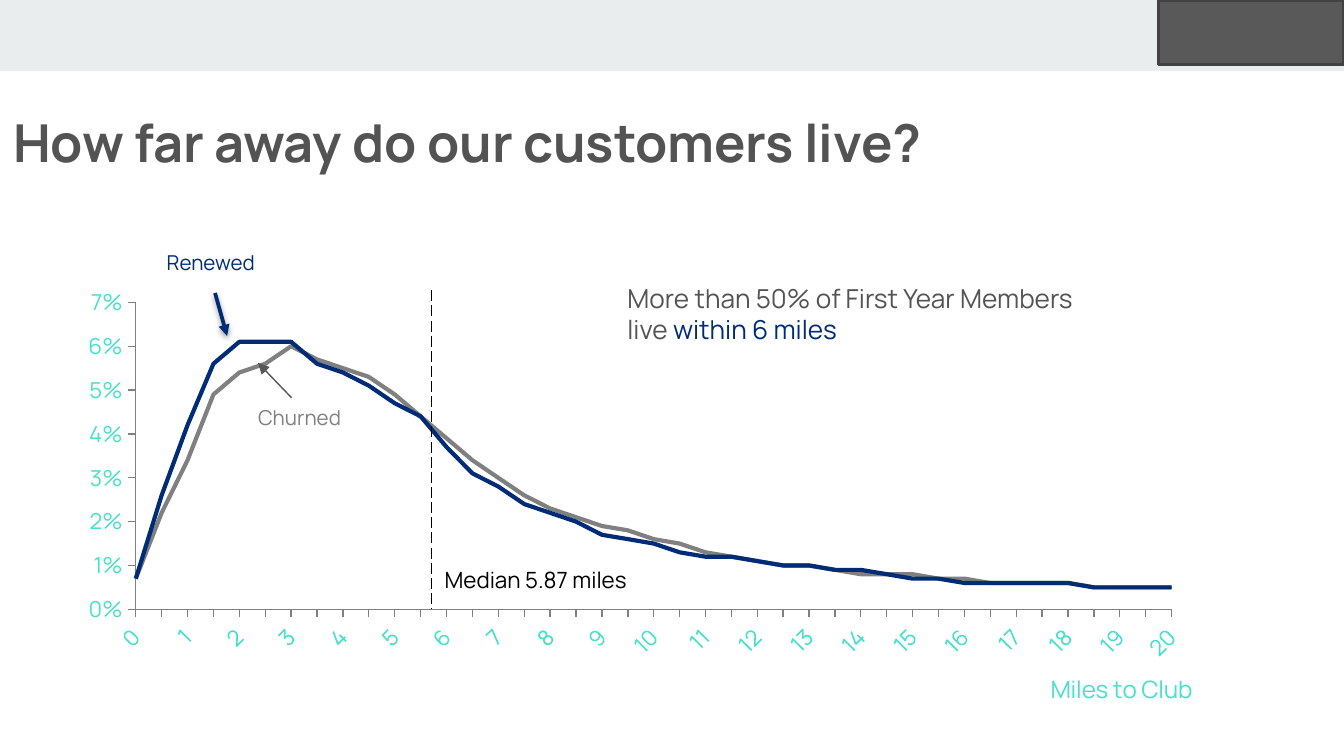
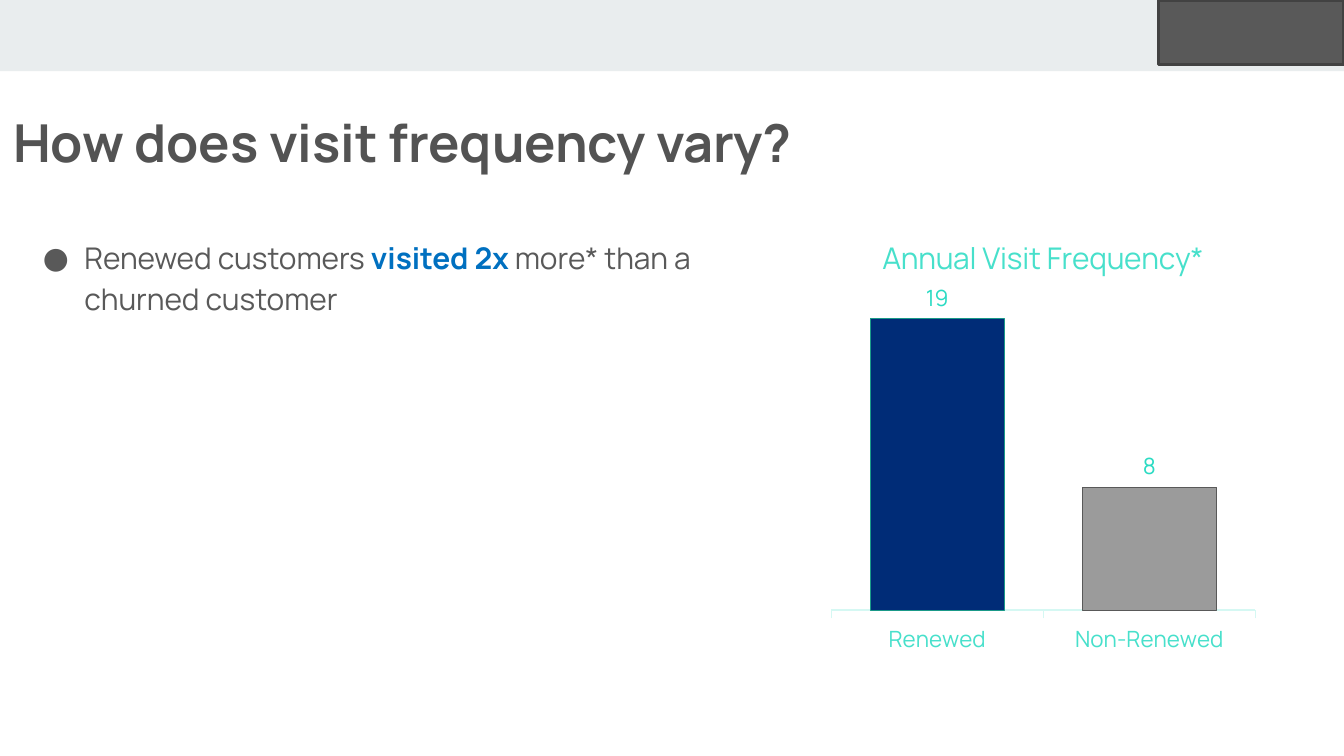
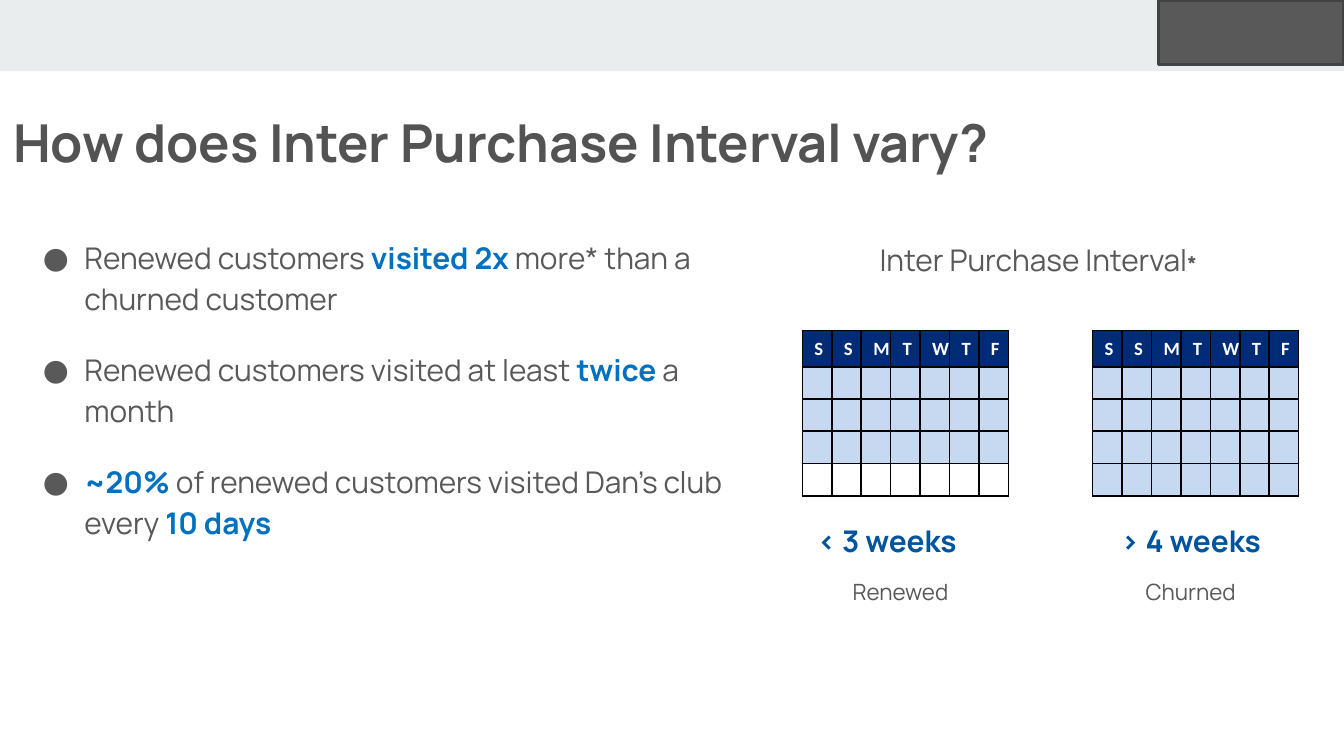
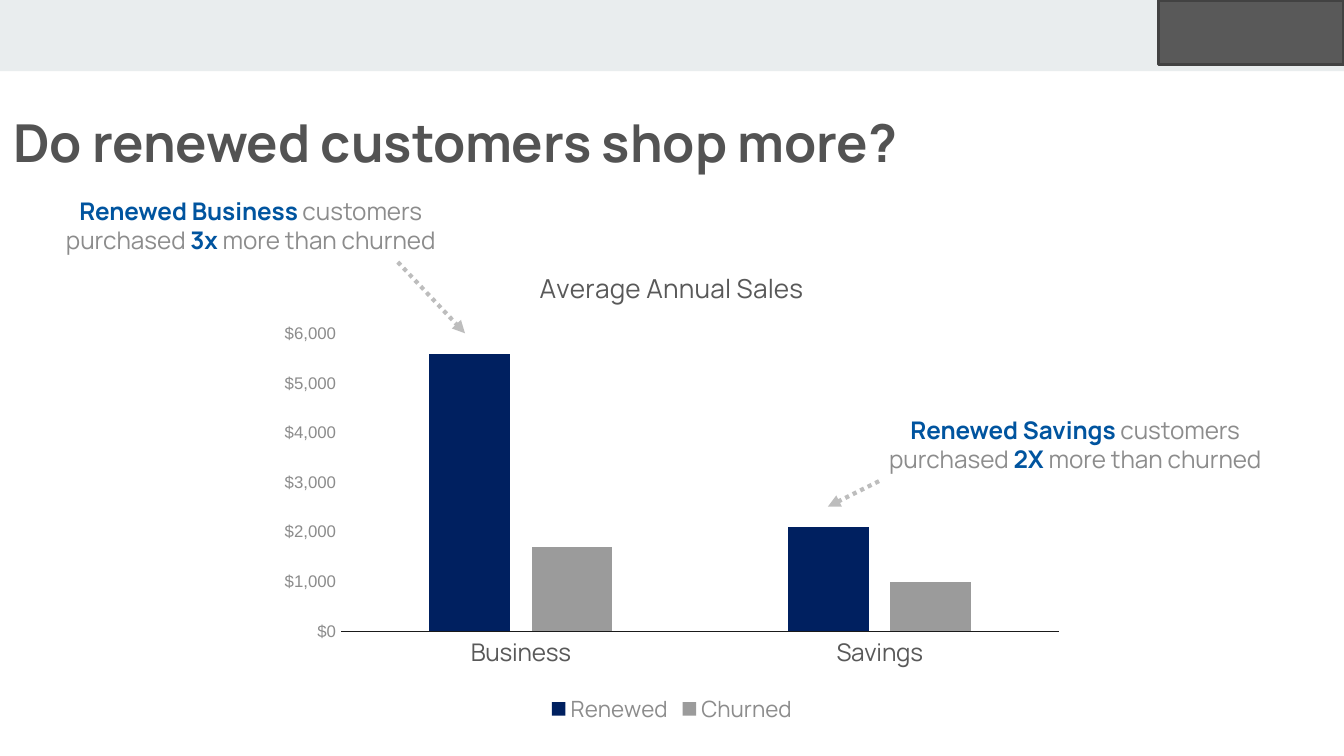
from dataclasses import dataclass

from lxml import etree
from pptx import Presentation
from pptx.chart.data import CategoryChartData
from pptx.dml.color import RGBColor
from pptx.enum.chart import (XL_CHART_TYPE, XL_LABEL_POSITION,
                             XL_LEGEND_POSITION, XL_TICK_MARK)
from pptx.enum.dml import MSO_LINE
from pptx.enum.shapes import MSO_CONNECTOR, MSO_SHAPE
from pptx.enum.text import MSO_ANCHOR, PP_ALIGN
from pptx.oxml.ns import qn
from pptx.util import Inches, Pt

LEFT, CENTER = PP_ALIGN.LEFT, PP_ALIGN.CENTER
TOP, MIDDLE, BOTTOM = MSO_ANCHOR.TOP, MSO_ANCHOR.MIDDLE, MSO_ANCHOR.BOTTOM
LINE_CHART, COLUMN_CHART = XL_CHART_TYPE.LINE, XL_CHART_TYPE.COLUMN_CLUSTERED
TICK_OUT, TICK_NONE = XL_TICK_MARK.OUTSIDE, XL_TICK_MARK.NONE
LONG_DASH, ROUND_DOT = MSO_LINE.LONG_DASH, MSO_LINE.ROUND_DOT
LABEL_OUTSIDE = XL_LABEL_POSITION.OUTSIDE_END
LEGEND_BOTTOM = XL_LEGEND_POSITION.BOTTOM
RECTANGLE, STRAIGHT = MSO_SHAPE.RECTANGLE, MSO_CONNECTOR.STRAIGHT

# The slide is a grid of square cells, 100 columns by 56.25 rows.
COLUMNS, ROWS = 100, 56.25
CELL = Inches(10) / COLUMNS


@dataclass(frozen=True)
class Theme:
    font: str = "Manrope"
    axis_font: str = "Arial"
    calendar_font: str = "Calibri"
    band: str = "E9EDEE"
    block: str = "595959"
    block_line: str = "424242"
    title: str = "535353"
    body: str = "595959"
    muted: str = "8C8C8C"
    navy: str = "002C77"
    dark_navy: str = "002060"
    gray: str = "808080"
    bar_gray: str = "9B9B9B"
    dots: str = "BDBDBD"
    blue: str = "0070C0"
    strong_blue: str = "00549F"
    shaded: str = "C6D9F1"
    mint: str = "47E0CB"
    label_mint: str = "2BDBC3"
    pale_mint: str = "D5F8F3"
    teal: str = "1A9988"
    arrow: str = "575757"
    baseline: str = "1A1A1A"
    black: str = "000000"
    white: str = "FFFFFF"
    title_size: float = 28
    body_size: float = 16
    note_size: float = 14
    callout_size: float = 13
    label_size: float = 12
    small_size: float = 11
    day_size: float = 10
    axis_size: float = 9


THEME = Theme()

RENEWED_2X = [("Renewed customers ", THEME.body, False),
              ("visited 2x", THEME.blue, True),
              (" more* than a churned customer", THEME.body, False)]
TWICE_A_MONTH = [("Renewed customers visited at least ", THEME.body, False),
                 ("twice", THEME.blue, True),
                 (" a month", THEME.body, False)]
EVERY_10_DAYS = [("~20%", THEME.blue, True),
                 (" of renewed customers visited Dan’s club every ", THEME.body, False),
                 ("10 days", THEME.blue, True)]

CHURNED_BY_MILE = [
    0.007, 0.022, 0.034, 0.049, 0.054, 0.056, 0.06, 0.057, 0.055, 0.053, 0.049,
    0.044, 0.039, 0.034, 0.03, 0.026, 0.023, 0.021, 0.019, 0.018, 0.016, 0.015,
    0.013, 0.012, 0.011, 0.01, 0.01, 0.009, 0.008, 0.008, 0.008, 0.007, 0.007,
    0.006, 0.006, 0.006, 0.006, 0.005, 0.005, 0.005, 0.005]
RENEWED_BY_MILE = [
    0.007, 0.026, 0.042, 0.056, 0.061, 0.061, 0.061, 0.056, 0.054, 0.051, 0.047,
    0.044, 0.037, 0.031, 0.028, 0.024, 0.022, 0.02, 0.017, 0.016, 0.015, 0.013,
    0.012, 0.012, 0.011, 0.01, 0.01, 0.009, 0.009, 0.008, 0.007, 0.007, 0.006,
    0.006, 0.006, 0.006, 0.006, 0.005, 0.005, 0.005, 0.005]


def cells(*counts):
    """Turn counts of grid cells into lengths."""
    return [round(count * CELL) for count in counts]


def rgb(color):
    return RGBColor.from_string(color)


def style_font(font, size, color, bold=False, name=THEME.font):
    font.name = name
    font.size = Pt(size)
    font.bold = bold
    font.color.rgb = rgb(color)


def style_line(line, color, width):
    line.color.rgb = rgb(color)
    line.width = Pt(width)


def fill_solid(fill, color):
    fill.solid()
    fill.fore_color.rgb = rgb(color)


def add_xml(parent, tag, **attributes):
    return etree.SubElement(parent, qn(tag), attributes)


def add_runs(paragraph, runs, size):
    """Add (text, color, bold) runs of one size."""
    for text, color, bold in runs:
        run = paragraph.add_run()
        run.text = text
        style_font(run.font, size, color, bold)


def add_text_frame(slide, box, insets=(1, 0.5), anchor=TOP):
    frame = slide.shapes.add_textbox(*cells(*box)).text_frame
    frame.word_wrap = True
    frame.vertical_anchor = anchor
    frame.margin_left = frame.margin_right = cells(insets[0])[0]
    frame.margin_top = frame.margin_bottom = cells(insets[1])[0]
    return frame


def add_text(slide, box, runs, size, align=LEFT, **frame_options):
    paragraph = add_text_frame(slide, box, **frame_options).paragraphs[0]
    paragraph.alignment = align
    add_runs(paragraph, runs, size)
    return paragraph


def add_label(slide, box, text, size, color, bold=False, **options):
    return add_text(slide, box, [(text, color, bold)], size, **options)


def add_bullets(slide, box, items):
    frame = add_text_frame(slide, box, insets=(1, 1))
    for index, runs in enumerate(items):
        paragraph = frame.add_paragraph() if index else frame.paragraphs[0]
        properties = paragraph._p.get_or_add_pPr()
        indent = Inches(0.31)
        properties.set("marL", str(indent))
        properties.set("indent", str(-indent))
        add_xml(add_xml(properties, "a:buClr"), "a:srgbClr", val=THEME.body)
        add_xml(properties, "a:buFont", typeface=THEME.font)
        add_xml(properties, "a:buChar", char="●")
        paragraph.line_spacing = 1.15
        paragraph.space_before = Pt(8 if index else 0)
        paragraph.space_after = Pt(8)
        add_runs(paragraph, runs, THEME.body_size)


def add_rectangle(slide, box, color, line_color=None):
    shape = slide.shapes.add_shape(RECTANGLE, *cells(*box))
    shape.shadow.inherit = False
    fill_solid(shape.fill, color)
    if line_color:
        style_line(shape.line, line_color, 2)
    else:
        shape.line.fill.background()


def add_line(slide, start, end, color, width, dash=None, arrow=True, shadow=False):
    connector = slide.shapes.add_connector(STRAIGHT, *cells(*start, *end))
    style_line(connector.line, color, width)
    if dash:
        connector.line.dash_style = dash
    if arrow:
        add_xml(connector.line._get_or_add_ln(), "a:tailEnd", type="triangle")
    effects = add_xml(connector._element.spPr, "a:effectLst")
    if shadow:
        outer = add_xml(effects, "a:outerShdw", blurRad=str(Pt(3.1)),
                        dist=str(Pt(1.6)), dir="5400000", rotWithShape="0")
        shade = add_xml(outer, "a:srgbClr", val=THEME.black)
        add_xml(shade, "a:alpha", val="38000")


def set_layout(parent, **percents):
    """Fix the place of a plot area or title in percent of the chart."""
    layout = parent.find(qn("c:layout"))
    if layout is None:
        layout = etree.Element(qn("c:layout"))
        parent.insert(0 if parent.find(qn("c:tx")) is None else 1, layout)
    for child in list(layout):
        layout.remove(child)
    manual = add_xml(layout, "c:manualLayout")
    if "w" in percents:
        add_xml(manual, "c:layoutTarget", val="inner")
    for mode in ("c:xMode", "c:yMode"):
        add_xml(manual, mode, val="edge")
    for name, percent in percents.items():
        add_xml(manual, f"c:{name}", val=f"{percent / 100:g}")


def set_title(title, text, size, color, x, y):
    """Write a chart or axis title and place it."""
    run = title.text_frame.paragraphs[0].add_run()
    run.text = text
    style_font(run.font, size, color)
    set_layout(title.element, x=x, y=y)


def add_chart(slide, chart_type, box, categories, series, plot_area):
    data = CategoryChartData()
    data.categories = categories
    for name, values in series:
        data.add_series(name, values)
    chart = slide.shapes.add_chart(chart_type, *cells(*box), data).chart
    style_font(chart.font, THEME.day_size, THEME.teal)
    chart.has_legend = False
    chart.has_title = False
    chart.value_axis.has_major_gridlines = False
    chart.plots[0].vary_by_categories = False
    x, y, w, h = plot_area
    set_layout(chart.element.find(".//" + qn("c:plotArea")), x=x, y=y, w=w, h=h)
    return chart


def style_axis(axis, size, color, tick, line_color=None, font=THEME.font):
    style_font(axis.tick_labels.font, size, color, name=font)
    axis.major_tick_mark = tick
    axis.minor_tick_mark = TICK_NONE
    if line_color:
        style_line(axis.format.line, line_color, 0.75)
    else:
        axis.format.line.fill.background()


def scale_axis(axis, maximum, unit, number_format="General"):
    axis.minimum_scale = 0
    axis.maximum_scale = maximum
    axis.major_unit = unit
    axis.tick_labels.number_format = number_format
    axis.tick_labels.number_format_is_linked = False


def add_distance_chart(slide):
    miles = [f"{half / 2:g}" for half in range(len(CHURNED_BY_MILE))]
    chart = add_chart(slide, LINE_CHART, (4.5, 15.6, 88.9, 37.4), miles,
                      [("Series 1", CHURNED_BY_MILE), ("Series 2", RENEWED_BY_MILE)],
                      (6.3, 18.8, 86.7, 62.2))
    for series, color in zip(chart.plots[0].series, (THEME.gray, THEME.navy)):
        style_line(series.format.line, color, 2.25)
        series.smooth = False
    for axis in (chart.category_axis, chart.value_axis):
        style_axis(axis, THEME.label_size, THEME.mint, TICK_OUT, THEME.gray)
    scale_axis(chart.value_axis, 0.07, 0.01, "0%")
    set_title(chart.category_axis.axis_title, "Miles to Club",
              THEME.callout_size, THEME.mint, 82.5, 92.5)

    category_xml = chart.element.find(".//" + qn("c:catAx"))
    category_xml.find(qn("c:txPr")).find(qn("a:bodyPr")).set("rot", "-2700000")
    last = category_xml.find(qn("c:noMultiLvlLbl"))
    for tag, step in (("c:tickLblSkip", 2), ("c:tickMarkSkip", 1)):
        last.addprevious(etree.Element(qn(tag), val=str(step)))
    value_xml = chart.element.find(".//" + qn("c:valAx"))
    crossing = value_xml.find(qn("c:crossBetween"))
    if crossing is None:
        crossing = etree.Element(qn("c:crossBetween"))
        value_xml.find(qn("c:majorUnit")).addprevious(crossing)
    crossing.set("val", "midCat")


def add_frequency_chart(slide):
    chart = add_chart(slide, COLUMN_CHART, (59.4, 16.9, 36.5, 32.5),
                      ["Renewed", "Non-Renewed"], [("Series 1", [19, 8])],
                      (6.7, 17.4, 86.5, 70.3))
    set_title(chart.chart_title, "Annual Visit Frequency*",
              THEME.body_size, THEME.mint, 16, 0.5)
    style_axis(chart.category_axis, THEME.label_size, THEME.mint, TICK_OUT,
               THEME.pale_mint)
    scale_axis(chart.value_axis, 20, 5)
    chart.value_axis.visible = False
    plot = chart.plots[0]
    plot.gap_width, plot.overlap = 58, -5
    series = plot.series[0]
    fill_solid(series.format.fill, THEME.body)
    style_line(series.format.line, THEME.teal, 0.5)
    for index, (color, outline) in enumerate([(THEME.navy, THEME.teal),
                                              (THEME.bar_gray, THEME.body)]):
        point = series.points[index].format
        fill_solid(point.fill, color)
        style_line(point.line, outline, 0.5)
    labels = series.data_labels
    labels.show_value = True
    labels.position = LABEL_OUTSIDE
    style_font(labels.font, THEME.label_size, THEME.label_mint)


def add_sales_chart(slide):
    chart = add_chart(slide, COLUMN_CHART, (20, 18.3, 60, 36),
                      ["Business", "Savings"],
                      [("Renewed", [5600, 2100]), ("Churned", [1700, 1000])],
                      (9, 18.2, 89, 61.5))
    set_title(chart.chart_title, "Average Annual Sales",
              THEME.note_size, THEME.body, 33, 3.5)
    style_axis(chart.category_axis, THEME.callout_size, THEME.body, TICK_NONE,
               THEME.baseline)
    style_axis(chart.value_axis, THEME.axis_size, THEME.muted, TICK_NONE,
               font=THEME.axis_font)
    scale_axis(chart.value_axis, 6000, 1000, '"$"#,##0')
    plot = chart.plots[0]
    plot.gap_width, plot.overlap = 219, -27
    for series, color in zip(plot.series, (THEME.dark_navy, THEME.bar_gray)):
        fill_solid(series.format.fill, color)
    chart.has_legend = True
    chart.legend.position = LEGEND_BOTTOM
    chart.legend.include_in_layout = False
    style_font(chart.legend.font, THEME.label_size, THEME.muted)


def set_borders(cell):
    properties = cell._tc.get_or_add_tcPr()
    for index, side in enumerate(("a:lnL", "a:lnR", "a:lnT", "a:lnB")):
        border = etree.Element(qn(side), w=str(Pt(1)))
        add_xml(add_xml(border, "a:solidFill"), "a:srgbClr", val=THEME.black)
        properties.insert(index, border)


def add_calendar(slide, left, top, shaded_weeks):
    """Draw a four-week calendar with its first weeks shaded."""
    days, weeks = "SSMTWTF", 4
    day_width, header_height, week_height = 2.1, 2.7, 2.4
    box = (left, top, day_width * len(days), header_height + week_height * weeks)
    table = slide.shapes.add_table(weeks + 1, len(days), *cells(*box)).table
    table.first_row = table.horz_banding = False
    for column in table.columns:
        column.width = cells(day_width)[0]
    for week, row in enumerate(table.rows):
        row.height = cells(week_height if week else header_height)[0]
        for day, cell in zip(days, row.cells):
            cell.margin_left = cell.margin_right = cells(0.9)[0]
            cell.margin_top = cell.margin_bottom = cells(0.5)[0]
            cell.vertical_anchor = MIDDLE
            paragraph = cell.text_frame.paragraphs[0]
            if week == 0:
                fill_solid(cell.fill, THEME.navy)
                paragraph.alignment = CENTER
                run = paragraph.add_run()
                run.text = day
                style_font(run.font, THEME.day_size, THEME.white, True,
                           THEME.calendar_font)
            else:
                add_xml(paragraph._p, "a:endParaRPr", sz="700")
                if week <= shaded_weeks:
                    fill_solid(cell.fill, THEME.shaded)
                else:
                    cell.fill.background()
            set_borders(cell)


def add_interval_panel(slide, left, interval_left, shaded_weeks, interval, group):
    add_calendar(slide, left, 24.6, shaded_weeks)
    add_label(slide, (interval_left, 38.4, 24, 3.7), interval, THEME.body_size,
              THEME.strong_blue, True, align=CENTER)
    add_label(slide, (left + 2.25, 42.1, 10.1, 2.9), group, THEME.label_size,
              THEME.body, align=CENTER, insets=(0, 0), anchor=BOTTOM)


def add_sales_callout(slide, box, group, factor, arrow_start, arrow_end):
    runs = [(f"Renewed {group}", THEME.strong_blue, True),
            (" customers purchased ", THEME.muted, False),
            (f"{factor} ", THEME.strong_blue, True),
            ("more than churned", THEME.muted, False)]
    add_text(slide, box, runs, THEME.callout_size, align=CENTER)
    add_line(slide, arrow_start, arrow_end, THEME.dots, 2.25, ROUND_DOT)


def add_titled_slide(presentation, title):
    """Add a blank slide with the shared band, corner block and title."""
    slide = presentation.slides.add_slide(presentation.slide_layouts[6])
    add_rectangle(slide, (0, 0, COLUMNS, 5.3), THEME.band)
    add_rectangle(slide, (86.2, 0, 13.8, 4.8), THEME.block, THEME.block_line)
    add_label(slide, (0, 7.2, 84.1, 5.9), title, THEME.title_size, THEME.title,
              True, insets=(1, 1))
    return slide


def build_distance_slide(presentation):
    slide = add_titled_slide(presentation, "How far away do our customers live?")
    add_distance_chart(slide)
    add_line(slide, (32.1, 21.6), (32.1, 45.3), THEME.black, 0.75, LONG_DASH, arrow=False)
    add_label(slide, (12.4, 18.6, 11.4, 2.3), "Renewed", THEME.small_size,
              THEME.navy, insets=(0, 0))
    add_label(slide, (19.2, 30.1, 11.7, 2.5), "Churned", THEME.small_size,
              THEME.gray, insets=(0, 0))
    add_line(slide, (16, 21.8), (16.9, 25), THEME.navy, 2, shadow=True)
    add_line(slide, (21.7, 29.6), (19.2, 27), THEME.arrow, 0.75)
    add_label(slide, (32.1, 41.6, 15.9, 3), "Median 5.87 miles",
              THEME.label_size, THEME.black)
    add_text(slide, (45.7, 20.5, 37.6, 5.7),
             [("More than 50% of First Year Members live ", THEME.title, False),
              ("within 6 miles", THEME.navy, False)], THEME.note_size)


def build_frequency_slide(presentation):
    slide = add_titled_slide(presentation, "How does visit frequency vary?")
    add_frequency_chart(slide)
    add_bullets(slide, (2.2, 16.4, 57.4, 34.7), [RENEWED_2X])


def build_interval_slide(presentation):
    slide = add_titled_slide(presentation, "How does Inter Purchase Interval vary?")
    add_bullets(slide, (2.2, 16.4, 53.7, 34.7),
                [RENEWED_2X, TWICE_A_MONTH, EVERY_10_DAYS])
    heading = add_label(slide, (65.3, 18, 23.9, 2.9), "Inter Purchase Interval",
                        THEME.body_size, THEME.body, align=CENTER, insets=(0, 0))
    add_runs(heading, [("*", THEME.body, True)], THEME.small_size)
    add_interval_panel(slide, 59.7, 54, 3, "< 3 weeks", "Renewed")
    add_interval_panel(slide, 81.3, 76.6, 4, "> 4 weeks", "Churned")


def build_sales_slide(presentation):
    slide = add_titled_slide(presentation, "Do renewed customers shop more?")
    add_sales_chart(slide)
    add_sales_callout(slide, (64.3, 30.4, 31.4, 5.4), "Savings", "2X",
                      (65.4, 35.8), (61.6, 37.7))
    add_sales_callout(slide, (0.3, 14.1, 36.7, 5.4), "Business", "3x",
                      (29.6, 19.5), (34.6, 24.8))


def main():
    presentation = Presentation()
    presentation.slide_width, presentation.slide_height = cells(COLUMNS, ROWS)
    build_distance_slide(presentation)
    build_frequency_slide(presentation)
    build_interval_slide(presentation)
    build_sales_slide(presentation)
    presentation.save("out.pptx")


if __name__ == "__main__":
    main()
